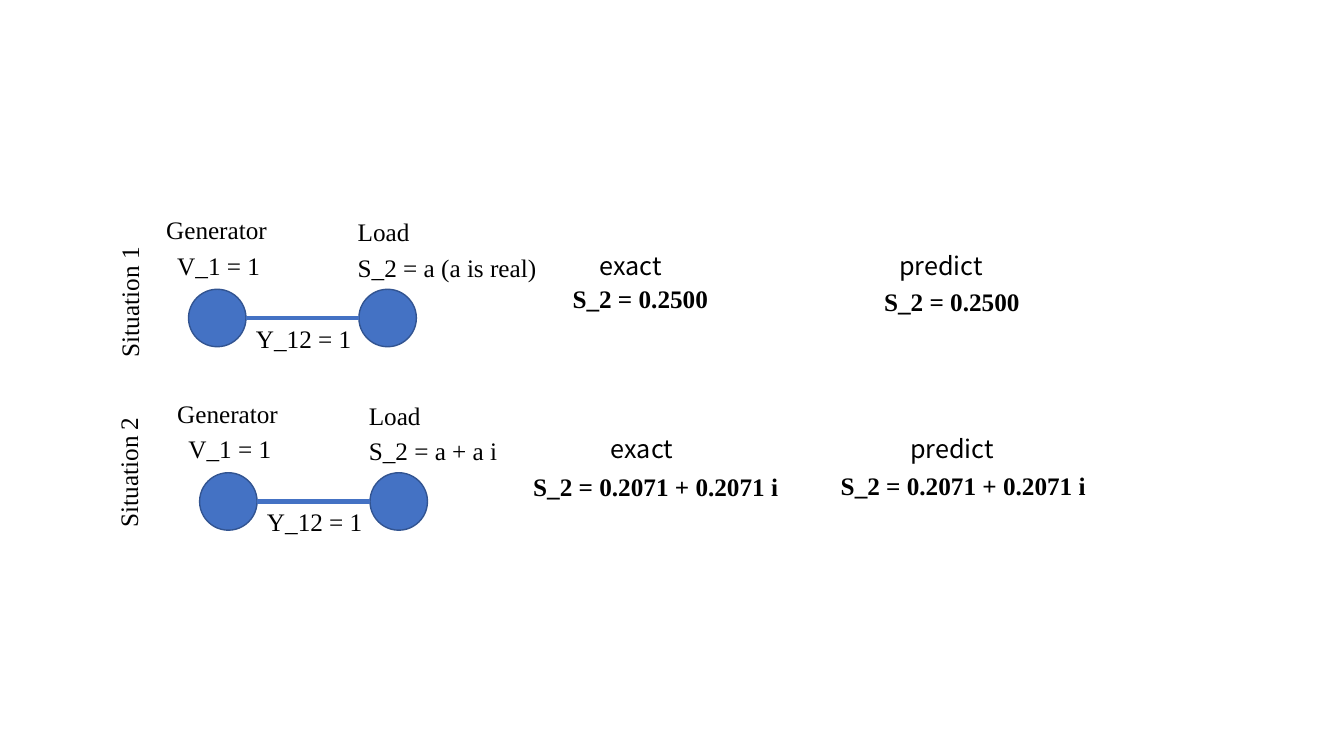
import pptx
import pptx.util
import pptx.dml.color
import pptx.enum.shapes
import pptx.oxml

Inches = pptx.util.Inches
Pt = pptx.util.Pt
COLORS = {"node": "4472C4", "outline": "325491", "text": "000000"}
SERIF = "Times New Roman"
SANS = "Noto Sans CJK SC"
NODE = 0.57


def rgb(name):
    """Return the named colour."""
    return pptx.dml.color.RGBColor.from_string(COLORS[name])


def add_label(s, text, x, y, w=1.9, font=SERIF, bold=False):
    """Add a one-line 18 pt text box and return it."""
    sp = s.shapes.add_textbox(Inches(x), Inches(y), Inches(w), Inches(0.4))
    tf = sp.text_frame
    tf.word_wrap = True
    r = tf.paragraphs[0].add_run()
    r.text = text
    r.font.name = font
    r.font.size = Pt(18)
    r.font.bold = bold
    r.font.color.rgb = rgb("text")
    return sp


prs = pptx.Presentation()
prs.slide_width = Inches(13.33)
prs.slide_height = Inches(7.5)
s = prs.slides.add_slide(prs.slide_layouts[6])

# Each situation: left and top of its generator node, load, results (text, x, y, w), title place
situations = [
    (1.87, 2.87, "S_2 = a (a is real)",
     [("S_2 = 0.2500", 5.58, 2.76, 1.88), ("S_2 = 0.2500", 8.67, 2.79, 1.88)],
     ("Situation 1", 0.33, 2.49)),
    (1.98, 4.69, "S_2 = a + a i",
     [("S_2 = 0.2071 + 0.2071 i", 5.19, 4.63, 2.68),
      ("S_2 = 0.2071 + 0.2071 i", 8.24, 4.62, 2.68)],
     ("Situation 2", 0.32, 4.18)),
]

for x, y, load, results, title in situations:
    load_x = x + 1.69
    mid_y = y + NODE / 2

    for node_x in (x, load_x):
        sp = s.shapes.add_shape(pptx.enum.shapes.MSO_SHAPE.OVAL, Inches(node_x),
                                Inches(y), Inches(NODE), Inches(NODE))
        sp.shadow.inherit = False
        sp.fill.solid()
        sp.fill.fore_color.rgb = rgb("node")
        sp.line.color.rgb = rgb("outline")
        sp.line.width = Pt(1)

    branch = s.shapes.add_connector(pptx.enum.shapes.MSO_CONNECTOR.STRAIGHT,
                                    Inches(x + NODE), Inches(mid_y),
                                    Inches(load_x), Inches(mid_y))
    branch.line.color.rgb = rgb("node")
    branch.line.width = Pt(3)
    branch._element.spPr.append(pptx.oxml.parse_xml(
        '<a:effectLst xmlns:a="http://schemas.openxmlformats.org/drawingml/2006/main"/>'))

    add_label(s, "Generator", x - 0.32, y - 0.79)
    add_label(s, "V_1 = 1", x - 0.21, y - 0.44)
    add_label(s, "Load", load_x - 0.11, y - 0.77)
    add_label(s, load, load_x - 0.11, y - 0.42, 2)
    add_label(s, "Y_12 = 1", x + NODE, mid_y)
    add_label(s, "exact", x + 3.98, y - 0.44, 1.32, SANS)
    add_label(s, "predict", x + 6.95, y - 0.44, 1.32, SANS)
    for result in results:
        add_label(s, *result, bold=True)
    add_label(s, *title).rotation = 270

prs.save("out.pptx")
